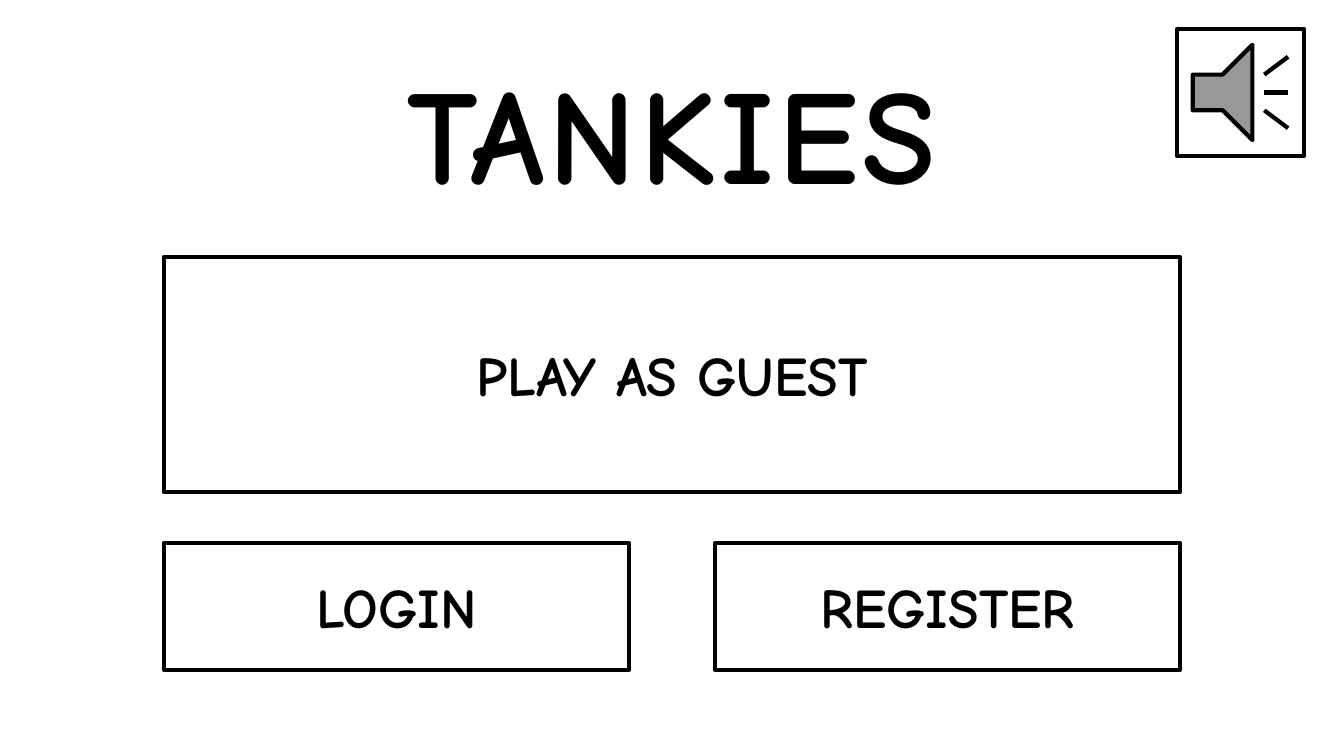
from pptx import Presentation
from pptx.dml.color import RGBColor as Rgb
from pptx.enum.shapes import MSO_SHAPE as Kind
from pptx.enum.text import MSO_ANCHOR as Anchor, MSO_AUTO_SIZE as Fit, PP_ALIGN as Align
from pptx.util import Emu, Pt

PX = 914400 / 100.8
FONT = "Comic Neue"
COLORS = {"ink": "000000", "paper": "FFFFFF"}

# Button grid
LEFT, WIDE, GAP = 164, 1016, 86
HALF = (WIDE - GAP) // 2


def px(n):
    return Emu(round(n * PX))


def color(name):
    return Rgb.from_string(COLORS[name])


def write(shape, text, size=40, anchor=Anchor.MIDDLE, gap=0):
    frame = shape.text_frame
    frame.word_wrap = True
    frame.vertical_anchor = anchor
    para = frame.paragraphs[0]
    para.alignment = Align.CENTER
    para.line_spacing = 1.0
    run = para.add_run()
    run.text = text
    font = run.font
    font.name, font.size, font.bold = FONT, Pt(size), True
    font.color.rgb = color("ink")
    if gap:
        run._r.get_or_add_rPr().set("spc", str(gap * 100))


def add_title(slide, text, x, y, w, h):
    title = slide.shapes.title
    title.left, title.top, title.width, title.height = map(px, (x, y, w, h))
    write(title, text, size=96, anchor=Anchor.TOP, gap=3)
    title.text_frame.auto_size = Fit.SHAPE_TO_FIT_TEXT


def add_button(slide, x, y, w, h, text=None, kind=Kind.RECTANGLE):
    box = slide.shapes.add_shape(kind, *map(px, (x, y, w, h)))
    box.shadow.inherit = False
    box.fill.solid()
    box.fill.fore_color.rgb = color("paper")
    box.line.color.rgb = color("ink")
    box.line.width = Pt(3)
    if text:
        write(box, text)


def main():
    prs = Presentation()
    prs.slide_width, prs.slide_height = px(1344), px(756)
    slide = prs.slides.add_slide(prs.slide_layouts[5])
    slide.background.fill.solid()
    slide.background.fill.fore_color.rgb = color("paper")

    # Game name
    add_title(slide, "TANKIES", 170, 45, 1004, 173)

    # Menu
    for col, text in enumerate(("LOGIN", "REGISTER")):
        add_button(slide, LEFT + col * (HALF + GAP), 543, HALF, 127, text)
    add_button(slide, LEFT, 257, WIDE, 235, "PLAY AS GUEST")

    # Sound switch
    add_button(slide, 1177, 29, 127, 127, kind=Kind.ACTION_BUTTON_SOUND)

    prs.save("out.pptx")


if __name__ == "__main__":
    main()
